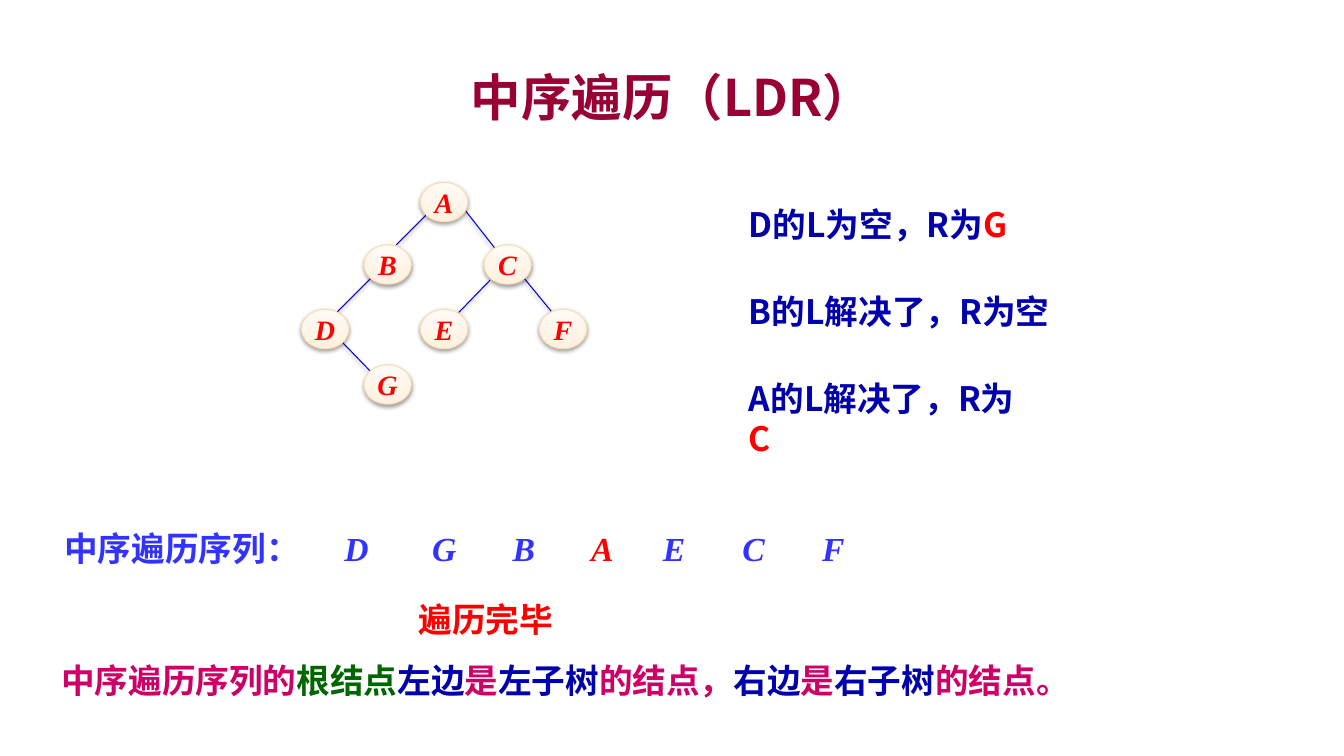
import pptx
import pptx.util
import pptx.dml.color
import pptx.enum.shapes
import pptx.enum.text
import pptx.oxml
import pptx.oxml.ns
from pptx.util import Inches

SANS = "Noto Sans CJK SC"
SERIF = "Times New Roman"
BLUE, NAVY, RED, PINK = "3333FF", "0000AD", "FF0000", "CC0066"
LEFT = pptx.enum.text.PP_ALIGN.LEFT
MID = pptx.enum.text.PP_ALIGN.CENTER
SHADE = (
    f'<a:effectLst {pptx.oxml.ns.nsdecls("a")}>'
    '<a:outerShdw blurRad="40000" dist="20000" dir="5400000" rotWithShape="0">'
    '<a:srgbClr val="000000"><a:alpha val="38000"/></a:srgbClr>'
    '</a:outerShdw></a:effectLst>'
)
color = pptx.dml.color.RGBColor.from_string


def write(shape, runs, size, face=SANS, align=LEFT, wrap=True):
    frame = shape.text_frame
    frame.word_wrap = wrap
    frame.vertical_anchor = pptx.enum.text.MSO_ANCHOR.MIDDLE
    para = frame.paragraphs[0]
    para.alignment = align
    for text, tint in runs:
        run = para.add_run()
        run.text = text
        font = run.font
        font.size = pptx.util.Pt(size)
        font.name = face
        font.bold = True
        font.italic = face == SERIF
        font.color.rgb = color(tint)
        # East Asian glyphs need their own typeface entry
        east = pptx.oxml.parse_xml(
            f'<a:ea {pptx.oxml.ns.nsdecls("a")} typeface="{face}"/>')
        run.font._element.append(east)


deck = pptx.Presentation()
deck.slide_width, deck.slide_height = Inches(13.33), Inches(7.5)
slide = deck.slides.add_slide(deck.slide_layouts[6])
shapes = slide.shapes

# Tree edges
edges = [
    (3.38, 3.38, 3.69, 3.7), (4.24, 2.12, 3.93, 2.43),
    (4.6, 2.07, 4.93, 2.49), (3.69, 2.75, 3.3, 3.14),
    (4.86, 2.78, 4.55, 3.1), (5.19, 2.75, 5.51, 3.14),
]
for edge in edges:
    line = shapes.add_connector(
        pptx.enum.shapes.MSO_CONNECTOR.STRAIGHT, *map(Inches, edge))
    line.line.color.rgb = color("0000E2")
    line.line.width = pptx.util.Pt(0.75)
    line._element.spPr.append(pptx.oxml.parse_xml(SHADE))

# Tree nodes
nodes = {
    "A": (4.17, 1.81), "B": (3.61, 2.43), "C": (4.8, 2.43),
    "D": (2.99, 3.07), "E": (4.17, 3.07), "F": (5.35, 3.07),
    "G": (3.61, 3.62),
}
for name, (x, y) in nodes.items():
    node = shapes.add_shape(
        pptx.enum.shapes.MSO_SHAPE.OVAL,
        Inches(x), Inches(y), Inches(0.47), Inches(0.39))
    node.fill.gradient()
    node.fill.gradient_angle = 90
    for stop, tint in zip(node.fill.gradient_stops, ("FFF1DF", "FFFBF6")):
        stop.color.rgb = color(tint)
    node.line.color.rgb = color("FBDDB2")
    node.line.width = pptx.util.Pt(0.75)
    node._element.spPr.append(pptx.oxml.parse_xml(SHADE))
    write(node, [(name, RED)], 20, SERIF, MID, wrap=False)

# Title, notes on each step and closing rule
texts = [
    (1, 0.58, 11.33, 0.75, 36, MID, [("中序遍历（LDR）", "990033")]),
    (0.54, 5.19, 2.84, 0.5, 24, LEFT, [("中序遍历序列：", BLUE)]),
    (3.48, 5.89, 2.68, 0.5, 24, MID, [("遍历完毕", RED)]),
    (0.51, 6.5, 10.41, 0.5, 24, LEFT, [
        ("中序遍历序列的", PINK), ("根结点", "006600"), ("左边", NAVY),
        ("是", PINK), ("左子树", NAVY), ("的结点，", PINK), ("右边", NAVY),
        ("是", PINK), ("右子树", NAVY), ("的结点。", PINK)]),
    (7.33, 1.97, 5, 0.5, 24, LEFT, [("D的L为空，R为", NAVY), ("G", RED)]),
    (7.33, 2.84, 5, 0.5, 24, LEFT, [("B的L解决了，R为空", NAVY)]),
    (7.33, 3.7, 2.91, 0.9, 24, LEFT, [("A的L解决了，R为", NAVY), ("C", RED)]),
]
for x, y, wide, high, size, align, runs in texts:
    box = shapes.add_textbox(Inches(x), Inches(y), Inches(wide), Inches(high))
    write(box, runs, size, align=align)

# Visit order
order = zip("DGBAECF", (3.14, 4.01, 4.8, 5.58, 6.29, 7.08, 7.87))
for name, x in order:
    box = shapes.add_textbox(Inches(x), Inches(5.19), Inches(0.79), Inches(0.5))
    write(box, [(name, RED if name == "A" else BLUE)], 24, SERIF, MID)

deck.save("out.pptx")
